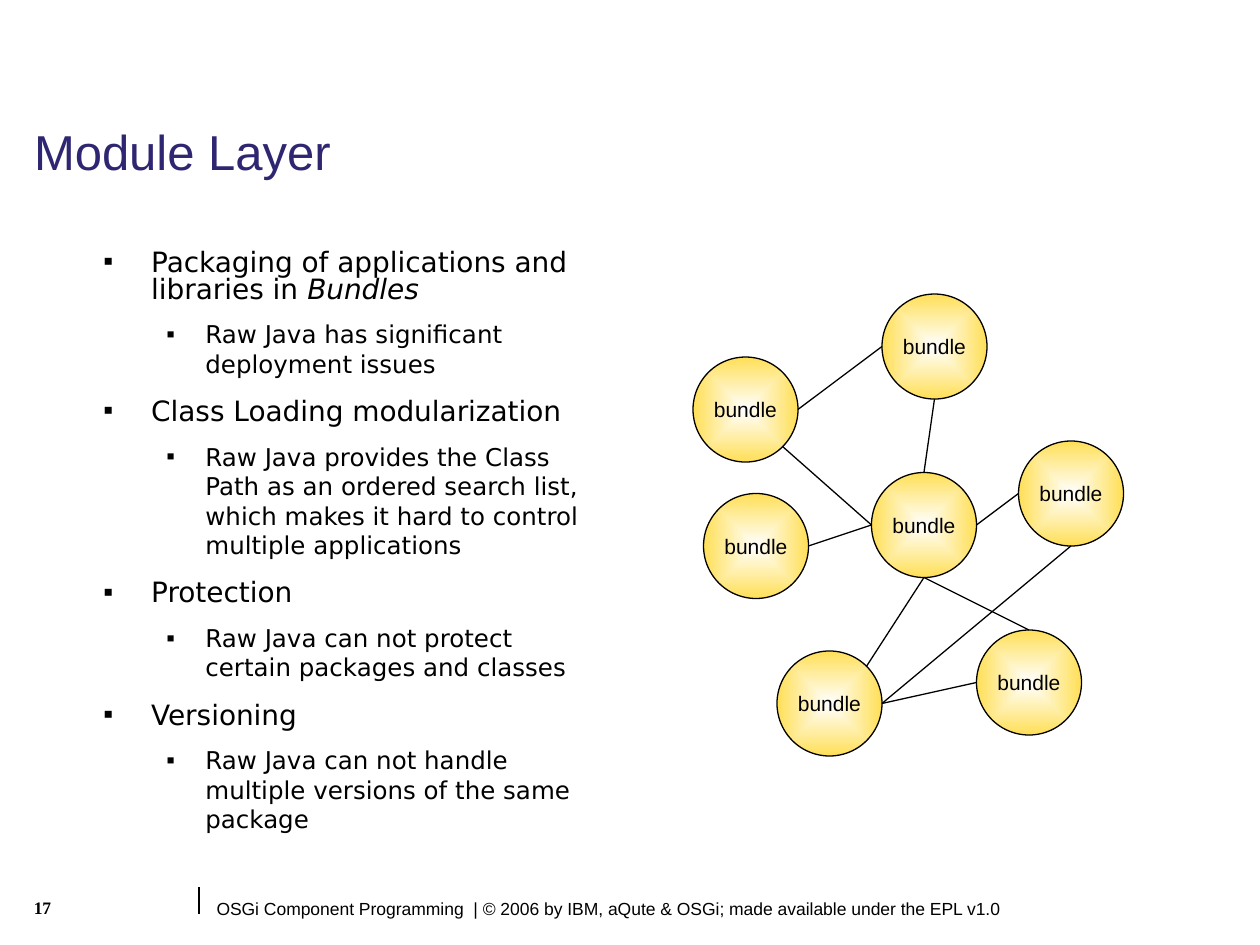
import lxml.etree
import pptx
import pptx.dml.color
import pptx.enum.shapes
import pptx.enum.text
import pptx.oxml
import pptx.oxml.ns
import pptx.util

Inches, Pt = pptx.util.Inches, pptx.util.Pt
RGBColor = pptx.dml.color.RGBColor
ANCHOR = pptx.enum.text.MSO_ANCHOR
qn = pptx.oxml.ns.qn

BLACK = RGBColor(0x00, 0x00, 0x00)
INDIGO = RGBColor(0x2F, 0x26, 0x72)
WHITE = RGBColor(0xFF, 0xFF, 0xFF)
YELLOW = RGBColor(0xFF, 0xDF, 0x57)

TITLE = "Module Layer"
FOOTER = "OSGi Component Programming  | © 2006 by IBM, aQute & OSGi; made available under the EPL v1.0"
PAGE = "17"

# (level, runs), each run being (text, italic)
POINTS = [
    (0, [("Packaging of applications and libraries in ", False), ("Bundles", True)]),
    (1, [("Raw Java has significant deployment issues", False)]),
    (0, [("Class Loading modularization", False)]),
    (1, [("Raw Java provides the Class Path as an ordered search list, "
          "which makes it hard to control multiple applications", False)]),
    (0, [("Protection", False)]),
    (1, [("Raw Java can not protect certain packages and classes", False)]),
    (0, [("Versioning", False)]),
    (1, [("Raw Java can not handle multiple versions of the same package", False)]),
]
# Per level: size, line spacing, space before, space after, left margin, hanging indent
LEVELS = [(16, 0.8, 10, 4, 0.38, 0.38), (14, 1.0, 4.4, 2.6, 0.81, 0.31)]

# Left and top of each bundle, in twelfths of an inch
UNIT = 1 / 12
DIAMETER = 10 * UNIT
BUNDLES = {
    "upper left": (66, 34), "centre": (83, 45), "lower left": (67, 47),
    "bottom right": (93, 60), "top": (84, 28), "bottom left": (74, 62),
    "right": (97, 42),
}
# Points on a circle, as shares of its diameter
SITES = {"N": (0.5, 0), "S": (0.5, 1), "W": (0, 0.5), "E": (1, 0.5),
         "NE": (0.85, 0.15), "SE": (0.85, 0.85)}
LINKS = [
    ("lower left", "E", "centre", "W"),
    ("bottom left", "NE", "centre", "S"),
    ("bottom left", "E", "bottom right", "W"),
    ("bottom right", "N", "centre", "S"),
    ("bottom left", "E", "right", "S"),
    ("centre", "E", "right", "W"),
    ("centre", "N", "top", "S"),
    ("upper left", "E", "top", "W"),
    ("upper left", "SE", "centre", "W"),
]


def place(shape, left, top, width, height):
    shape.left, shape.top = Inches(left), Inches(top)
    shape.width, shape.height = Inches(width), Inches(height)


def add_run(p, text, size, font="Arial", color=BLACK, bold=False, italic=False):
    r = p.add_run()
    r.text = text
    r.font.name, r.font.size = font, Pt(size)
    r.font.bold, r.font.italic = bold, italic
    r.font.color.rgb = color


def add_label(slide, box, text, size, **style):
    tb = slide.shapes.add_textbox(*map(Inches, box))
    tb.text_frame.word_wrap = True
    add_run(tb.text_frame.paragraphs[0], text, size, **style)


def add_bullet(p):
    pPr = p._p.get_or_add_pPr()
    color = lxml.etree.SubElement(pPr, qn("a:buClr"))
    lxml.etree.SubElement(color, qn("a:srgbClr"), val=str(BLACK))
    lxml.etree.SubElement(pPr, qn("a:buChar"), char="▪")


def fill_points(tf):
    for i, (level, runs) in enumerate(POINTS):
        size, spacing, before, after, margin, hang = LEVELS[level]
        p = tf.paragraphs[0] if i == 0 else tf.add_paragraph()
        add_bullet(p)
        p.level = level
        p.alignment = pptx.enum.text.PP_ALIGN.LEFT
        p.line_spacing = spacing
        p.space_before, p.space_after = Pt(before if i else 0), Pt(after)
        pPr = p._p.get_or_add_pPr()
        pPr.set("marL", str(Inches(margin)))
        pPr.set("indent", str(-Inches(hang)))
        for text, italic in runs:
            add_run(p, text, size, "DejaVu Sans", italic=italic)


def glow(sp):
    """Fill with a gradient running from a white centre to yellow edges."""
    sp.fill.solid()
    solid = sp._element.spPr.find(qn("a:solidFill"))
    grad = pptx.oxml.parse_xml(
        f'<a:gradFill {pptx.oxml.ns.nsdecls("a")} rotWithShape="1"><a:gsLst>'
        f'<a:gs pos="0"><a:srgbClr val="{WHITE}"/></a:gs>'
        f'<a:gs pos="100000"><a:srgbClr val="{YELLOW}"/></a:gs></a:gsLst>'
        '<a:path path="rect"><a:fillToRect l="50000" t="50000" r="50000" b="50000"/></a:path>'
        '</a:gradFill>')
    solid.getparent().replace(solid, grad)


def add_bundle(slide, column, row):
    sp = slide.shapes.add_shape(
        pptx.enum.shapes.MSO_SHAPE.OVAL, Inches(column * UNIT), Inches(row * UNIT),
        Inches(DIAMETER), Inches(DIAMETER))
    sp.shadow.inherit = False
    glow(sp)
    sp.line.color.rgb, sp.line.width = BLACK, Pt(0.75)
    tf = sp.text_frame
    tf.word_wrap = False
    tf.vertical_anchor = ANCHOR.MIDDLE
    p = tf.paragraphs[0]
    p.alignment = pptx.enum.text.PP_ALIGN.CENTER
    add_run(p, "bundle", 12)


def add_line(slide, start, end):
    cxn = slide.shapes.add_connector(
        pptx.enum.shapes.MSO_CONNECTOR.STRAIGHT, *map(Inches, (*start, *end)))
    cxn.line.color.rgb, cxn.line.width = BLACK, Pt(0.75)
    lxml.etree.SubElement(cxn._element.spPr, qn("a:effectLst"))


def site(name, side):
    return [at * UNIT + share * DIAMETER for at, share in zip(BUNDLES[name], SITES[side])]


def main():
    prs = pptx.Presentation()
    prs.slide_width, prs.slide_height = Inches(10), Inches(7.5)
    slide = prs.slides.add_slide(prs.slide_layouts[1])

    add_line(slide, (1.58, 7.04), (1.58, 7.25))
    add_label(slide, (1.62, 7.08, 8.38, 0.27), FOOTER, 10)
    add_label(slide, (0.17, 7.07, 1.1, 0.35), PAGE, 10, font="Times New Roman", bold=True)

    title, body = slide.placeholders
    place(title, 0.17, 0.95, 9.02, 0.55)
    place(body, 0.72, 1.94, 4.15, 4.93)
    for shape, anchor in ((title, ANCHOR.MIDDLE), (body, ANCHOR.TOP)):
        shape.text_frame.auto_size = pptx.enum.text.MSO_AUTO_SIZE.NONE
        shape.text_frame.vertical_anchor = anchor
    p = title.text_frame.paragraphs[0]
    p.alignment = pptx.enum.text.PP_ALIGN.LEFT
    p.line_spacing = 0.9
    add_run(p, TITLE, 28, color=INDIGO)
    fill_points(body.text_frame)

    for column, row in BUNDLES.values():
        add_bundle(slide, column, row)
    for start, start_side, end, end_side in LINKS:
        add_line(slide, site(start, start_side), site(end, end_side))

    prs.save("out.pptx")


if __name__ == "__main__":
    main()
